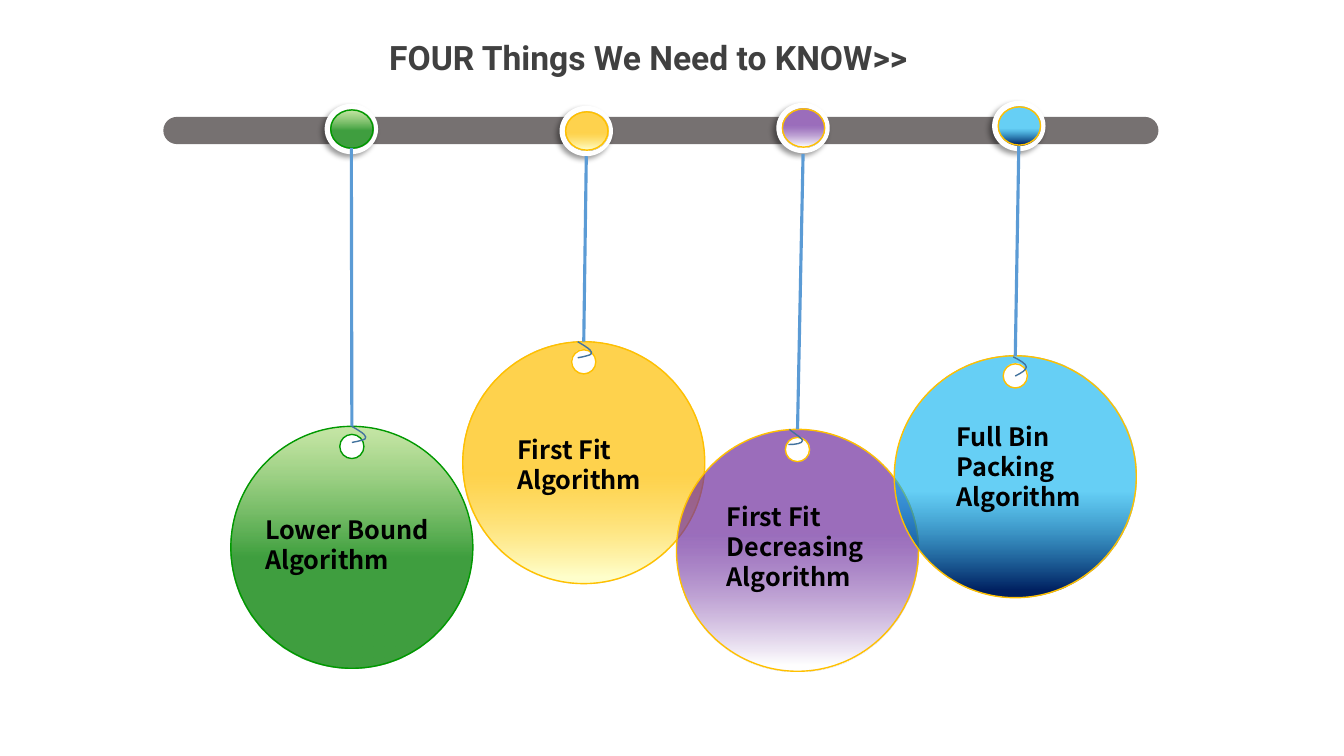
from dataclasses import dataclass

from lxml.etree import SubElement
from pptx import Presentation
from pptx.dml.color import RGBColor
from pptx.enum.shapes import MSO_CONNECTOR, MSO_SHAPE
from pptx.enum.text import MSO_ANCHOR, MSO_AUTO_SIZE, PP_ALIGN
from pptx.oxml.ns import qn
from pptx.shapes.autoshape import Shape
from pptx.shapes.shapetree import GroupShapes
from pptx.text.text import TextFrame
from pptx.util import Inches, Pt

Point = tuple[float, float]
Curve = tuple[Point, Point, Point]  # two control points, then the end


@dataclass(frozen=True)
class Theme:
    bar: str = "767171"
    ring: str = "FFFFFF"
    string: str = "5B9BD5"
    hook: str = "43739E"
    heading: str = "404040"
    label: str = "000000"
    green_edge: str = "009900"
    gold_edge: str = "FFC000"
    heading_font: str = "Roboto"
    label_font: str = "Noto Sans CJK JP"
    heading_size: int = 24
    label_size: int = 18
    label_leading: float = 21.6


@dataclass(frozen=True)
class Stop:
    position: float
    color: str
    opacity: int = 100


@dataclass(frozen=True)
class Contour:
    start: Point
    curves: tuple[Curve, ...]


@dataclass(frozen=True)
class Pendant:
    lines: tuple[str, ...]
    label_box: tuple[float, float, float, float]
    disc: Point  # left and top of the hanging disc
    ring: Point  # left and top of the ring on the bar
    string_top: float
    stops: tuple[Stop, Stop]
    edge: str
    hook_start: Point  # measured from the top of the disc
    hook: tuple[Curve, Curve]


THEME = Theme()
DISC_RADIUS, HOLE_RADIUS, HOLE_DROP = 1.2, 0.12, 0.2
RING_SIZE = (0.53, 0.5)
BEAD_SIZE, BEAD_INSET = (0.42, 0.38), 0.06
ARC = 0.55  # control point distance for a quarter circle
CURLED_HOOK = (((0.05, 0.03), (0.1, 0.06), (0.12, 0.08)),
               ((0.15, 0.12), (0.16, 0.13), (0, 0.16)))

PENDANTS = (
    Pendant(("Lower Bound", "Algorithm"), (2.53, 5.05, 1.92, 0.71),
            (2.29, 4.23), (3.22, 1.03), 1.47,
            (Stop(0, "92D050", 50), Stop(0.54, "008000", 75)),
            THEME.green_edge, (0, 0), CURLED_HOOK),
    Pendant(("First Fit", "Algorithm"), (5.03, 4.26, 1.59, 0.71),
            (4.59, 3.39), (5.55, 1.05), 1.55,
            (Stop(0.54, "FFC000", 70), Stop(0.97, "FFFFCC")),
            THEME.gold_edge, (-0.06, 0), CURLED_HOOK),
    Pendant(("First Fit Decreasing", "Algorithm"), (7.11, 4.92, 1.79, 1.01),
            (6.71, 4.26), (7.7, 1.02), 1.53,
            (Stop(0.43, "7030A0", 70), Stop(0.97, "FFFFFF")),
            THEME.gold_edge, (-0.08, 0),
            (((0.06, 0.05), (0.13, 0.09), (0.13, 0.11)),
             ((0.13, 0.14), (0.06, 0.15), (-0.01, 0.15)))),
    Pendant(("Full Bin", "Packing", "Algorithm"), (9.39, 4.13, 1.82, 1.01),
            (8.87, 3.53), (9.84, 1), 1.45,
            (Stop(0.56, "00B0F0", 60), Stop(0.97, "002060")),
            THEME.gold_edge, (-0.02, 0.01),
            (((0.06, 0.03), (0.13, 0.07), (0.13, 0.1)),
             ((0.13, 0.13), (0.08, 0.16), (0.02, 0.19)))),
)


# Outlines
def place_curve(curve: Curve, origin: Point, scale: float = 1) -> Curve:
    return tuple((origin[0] + scale * x, origin[1] + scale * y) for x, y in curve)


def circle(center: Point, radius: float) -> Contour:
    quarter, quarters = ((ARC, -1), (1, -ARC), (1, 0)), []
    for _ in range(4):
        quarters.append(place_curve(quarter, center, radius))
        quarter = tuple((-y, x) for x, y in quarter)
    return Contour((center[0], center[1] - radius), tuple(quarters))


def add_outline(shapes: GroupShapes, contours: list[Contour], close: bool) -> Shape:
    builder = shapes.build_freeform(*map(Inches, contours[0].start), scale=1.0)
    for index, contour in enumerate(contours):
        if index:
            builder.move_to(*map(Inches, contour.start))
        builder.add_line_segments([tuple(map(Inches, curve[-1])) for curve in contour.curves],
                                  close=close)
    outline = builder.convert_to_shape()
    outline.shadow.inherit = False

    # Bend each straight segment into its curve
    curves = [curve for contour in contours for curve in contour.curves]
    segments = list(outline._element.spPr.iter(qn("a:lnTo")))
    for segment, curve in zip(segments, curves):
        segment.tag = qn("a:cubicBezTo")
        segment.remove(segment[0])
        for x, y in curve:
            SubElement(segment, qn("a:pt"), x=str(Inches(x) - outline.left),
                       y=str(Inches(y) - outline.top))
    return outline


# Formatting
def set_edge(shape: Shape, color: str, width: float = 1) -> None:
    shape.line.color.rgb = RGBColor.from_string(color)
    shape.line.width = Pt(width)


def set_gradient(shape: Shape, stops: tuple[Stop, Stop]) -> None:
    shape.fill.gradient()
    shape.fill.gradient_angle = 270
    for target, stop in zip(shape.fill.gradient_stops, stops):
        target.position = stop.position
        target.color.rgb = RGBColor.from_string(stop.color)
    colors = shape._element.spPr.find(qn("a:gradFill")).iter(qn("a:srgbClr"))
    for color, stop in zip(list(colors), stops):
        SubElement(color, qn("a:alpha"), val=str(stop.opacity * 1000))


def add_plain(shapes: GroupShapes, kind: MSO_SHAPE, box: tuple[float, ...], color: str) -> Shape:
    plain = shapes.add_shape(kind, *map(Inches, box))
    plain.shadow.inherit = False
    plain.fill.solid()
    plain.fill.fore_color.rgb = RGBColor.from_string(color)
    plain.line.fill.background()
    return plain


def add_ring_shadow(ring: Shape) -> None:
    effects = ring._element.spPr.find(qn("a:effectLst"))
    shadow = SubElement(effects, qn("a:outerShdw"), blurRad=str(Pt(4)), dist=str(Pt(3)),
                        dir="8100000", algn="tr", rotWithShape="0")
    color = SubElement(shadow, qn("a:srgbClr"), val="000000")
    SubElement(color, qn("a:alpha"), val="40000")


def write_text(frame: TextFrame, lines: tuple[str, ...], font: str, size: int,
               color: str, leading: float | None = None) -> None:
    frame_format = {"word_wrap": True, "auto_size": MSO_AUTO_SIZE.NONE,
                    "vertical_anchor": MSO_ANCHOR.TOP}
    font_format = {"name": font, "size": Pt(size), "bold": True}
    for name, value in frame_format.items():
        setattr(frame, name, value)
    for index, line in enumerate(lines):
        paragraph = frame.add_paragraph() if index else frame.paragraphs[0]
        paragraph.alignment = PP_ALIGN.LEFT
        if leading:
            paragraph.line_spacing = Pt(leading)
        run = paragraph.add_run()
        run.text = line
        for name, value in font_format.items():
            setattr(run.font, name, value)
        run.font.color.rgb = RGBColor.from_string(color)


def draw_pendant(shapes: GroupShapes, pendant: Pendant) -> None:
    left, top = pendant.disc
    center_x = left + DISC_RADIUS
    ring_x, ring_y = pendant.ring

    # Disc with its hole, then ring and bead on the bar
    disc = add_outline(shapes, [circle((center_x, top + DISC_RADIUS), DISC_RADIUS),
                                circle((center_x, top + HOLE_DROP), HOLE_RADIUS)], True)
    ring = add_plain(shapes, MSO_SHAPE.OVAL, (ring_x, ring_y, *RING_SIZE), THEME.ring)
    add_ring_shadow(ring)
    bead = add_plain(shapes, MSO_SHAPE.OVAL,
                     (ring_x + BEAD_INSET, ring_y + BEAD_INSET, *BEAD_SIZE), THEME.ring)
    for tinted in (disc, bead):
        set_gradient(tinted, pendant.stops)
        set_edge(tinted, pendant.edge)

    # String and hook
    ends = (ring_x + RING_SIZE[0] / 2, pendant.string_top, center_x, top)
    string = shapes.add_connector(MSO_CONNECTOR.STRAIGHT, *map(Inches, ends))
    set_edge(string, THEME.string, 2.25)
    SubElement(string._element.spPr, qn("a:effectLst"))
    start = (center_x + pendant.hook_start[0], top + pendant.hook_start[1])
    bends = tuple(place_curve(curve, start) for curve in pendant.hook)
    hook = add_outline(shapes, [Contour(start, bends)], False)
    hook.fill.background()
    set_edge(hook, THEME.hook)

    # Label
    label = shapes.add_textbox(*map(Inches, pendant.label_box))
    write_text(label.text_frame, pendant.lines, THEME.label_font, THEME.label_size,
               THEME.label, THEME.label_leading)


def main() -> None:
    deck = Presentation()
    deck.slide_width, deck.slide_height = Inches(13.33), Inches(7.5)
    slide = deck.slides.add_slide(deck.slide_layouts[5])

    # Heading
    heading = slide.shapes.title
    place = {"left": 3.76, "top": 0.32, "width": 7.91, "height": 0.5}
    for name, value in place.items():
        setattr(heading, name, Inches(value))
    write_text(heading.text_frame, ("FOUR Things We Need to KNOW>>",),
               THEME.heading_font, THEME.heading_size, THEME.heading)

    # Bar and its pendants
    bar = add_plain(slide.shapes, MSO_SHAPE.ROUNDED_RECTANGLE, (1.62, 1.16, 9.87, 0.27), THEME.bar)
    bar.adjustments[0] = 0.5
    for pendant in PENDANTS:
        draw_pendant(slide.shapes.add_group_shape().shapes, pendant)

    deck.save("out.pptx")


if __name__ == "__main__":
    main()
